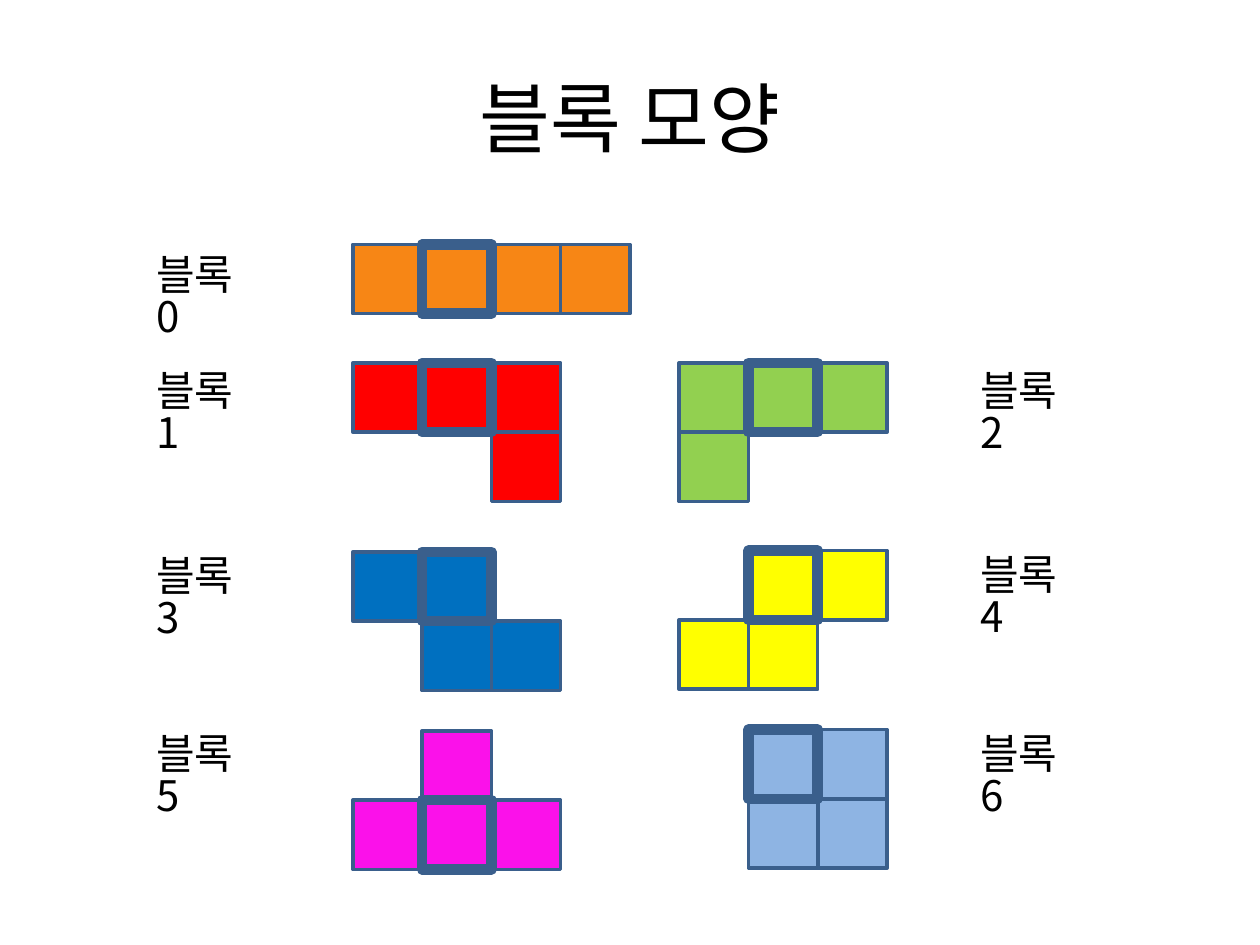
import pptx
import pptx.dml.color
import pptx.enum.shapes
import pptx.enum.text
import pptx.oxml.ns
import pptx.util
from lxml import etree
from pptx.util import Inches

FONT = "Noto Sans CJK KR"
CELL = 0.55
LEFT_BLOCK, RIGHT_BLOCK = 2.8, 5.39
LABEL_LEFT = {LEFT_BLOCK: 1.14, RIGHT_BLOCK: 7.68}

# block left, block top, label top, colour, cells as (column, row), pivot last
BLOCKS = [
    (LEFT_BLOCK, 1.94, 1.99, "F78615", [(0, 0), (2, 0), (3, 0), (1, 0)]),
    (LEFT_BLOCK, 2.88, 2.91, "FF0000", [(0, 0), (2, 0), (2, 1), (1, 0)]),
    (RIGHT_BLOCK, 2.88, 2.91, "92D050", [(0, 0), (2, 0), (0, 1), (1, 0)]),
    (LEFT_BLOCK, 4.38, 4.38, "0070C0", [(0, 0), (1, 1), (2, 1), (1, 0)]),
    (RIGHT_BLOCK, 4.37, 4.37, "FFFF00", [(1, 1), (2, 0), (0, 1), (1, 0)]),
    (LEFT_BLOCK, 5.8, 5.79, "FB11EA", [(0, 1), (1, 0), (2, 1), (1, 1)]),
    (RIGHT_BLOCK, 5.79, 5.79, "8EB4E3", [(1, 1), (2, 0), (2, 1), (1, 0)]),
]


def color(hex_string):
    """Return the RGB colour for a hex string."""
    return pptx.dml.color.RGBColor.from_string(hex_string)


def format_text(paragraph, size):
    """Set size, colour and the Latin and East Asian fonts of a paragraph."""
    paragraph.font.size = pptx.util.Pt(size)
    paragraph.font.name = FONT
    paragraph.font.color.rgb = color("000000")
    properties = paragraph._p.pPr.find(pptx.oxml.ns.qn("a:defRPr"))
    etree.SubElement(properties, pptx.oxml.ns.qn("a:ea"), typeface=FONT)


presentation = pptx.Presentation()
presentation.slide_width = Inches(10)
presentation.slide_height = Inches(7.5)
slide = presentation.slides.add_slide(presentation.slide_layouts[5])

title = slide.shapes.title
title.left, title.top = Inches(0.5), Inches(0.3)
title.width, title.height = Inches(9), Inches(1.25)
title.text_frame.text = "블록 모양"
title.text_frame.vertical_anchor = pptx.enum.text.MSO_ANCHOR.MIDDLE
title_paragraph = title.text_frame.paragraphs[0]
title_paragraph.alignment = pptx.enum.text.PP_ALIGN.CENTER
format_text(title_paragraph, 44)

for number, (left, top, label_top, fill, cells) in enumerate(BLOCKS):
    pivot = cells[-1]
    for column, row in cells:
        square = slide.shapes.add_shape(
            pptx.enum.shapes.MSO_SHAPE.RECTANGLE,
            Inches(left + column * CELL), Inches(top + row * CELL),
            Inches(CELL), Inches(CELL))
        square.shadow.inherit = False
        square.fill.solid()
        square.fill.fore_color.rgb = color(fill)
        square.line.color.rgb = color("3A5F8C")
        square.line.width = pptx.util.Pt(6 if (column, row) == pivot else 2)

    label = slide.shapes.add_textbox(
        Inches(LABEL_LEFT[left]), Inches(label_top), Inches(1.06), Inches(0.5))
    frame = label.text_frame
    frame.word_wrap = True
    # The wider right margin drops the digit to a second line.
    frame.margin_right = Inches(0.22)
    frame.text = f"블록{number}"
    frame.paragraphs[0].line_spacing = 0.83
    format_text(frame.paragraphs[0], 24)

presentation.save("out.pptx")
